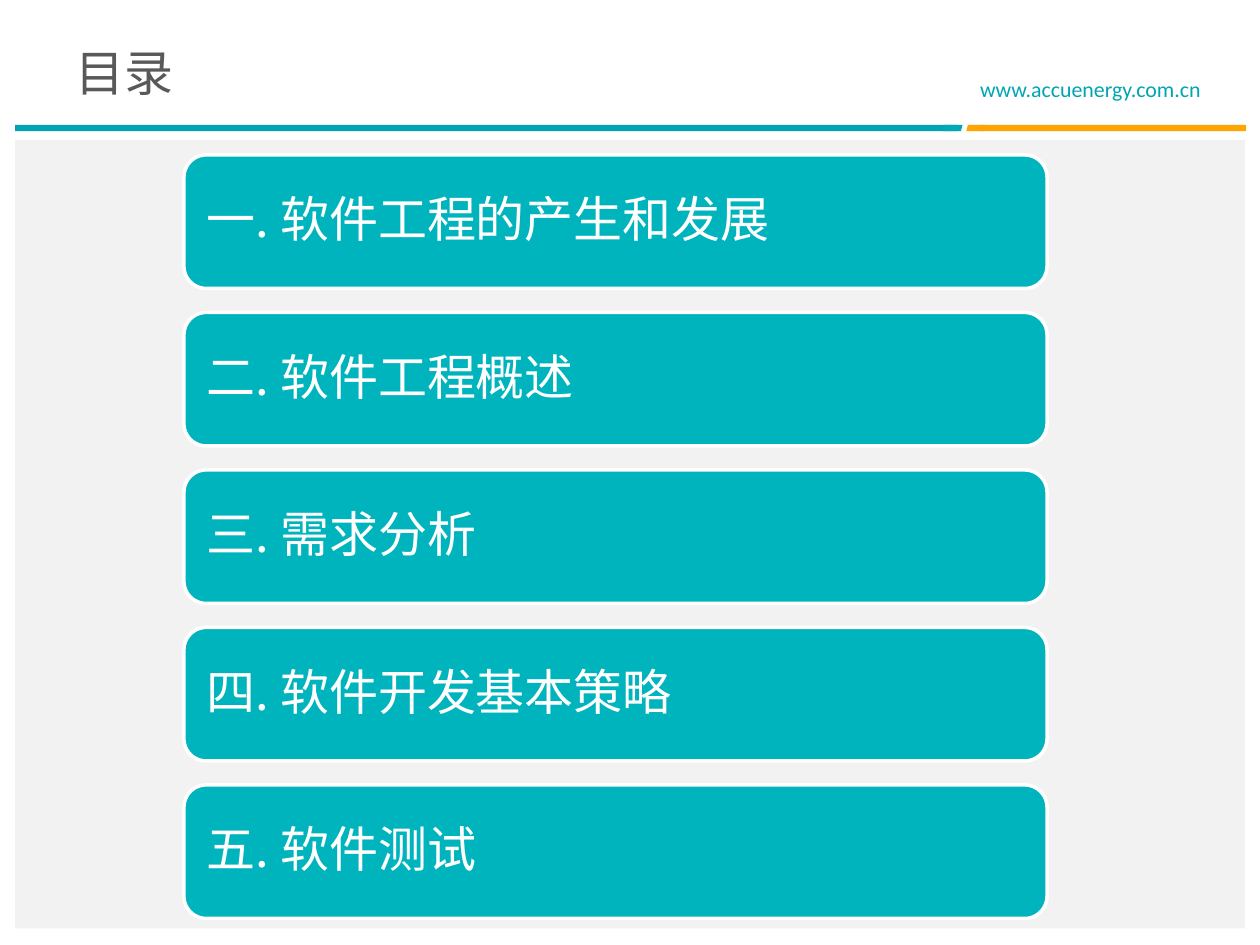
from pptx import Presentation
from pptx.dml.color import RGBColor
from pptx.enum.shapes import MSO_SHAPE
from pptx.enum.text import MSO_ANCHOR, PP_ALIGN
from pptx.util import Inches, Pt

WHITE = RGBColor(0xFF, 0xFF, 0xFF)
PALE = RGBColor(0xF2, 0xF2, 0xF2)
GREY = RGBColor(0x59, 0x59, 0x59)
TEAL = RGBColor(0x00, 0xA5, 0xB2)
SLANT = RGBColor(0x00, 0xA8, 0xB2)
AQUA = RGBColor(0x00, 0xB4, 0xBE)
ORANGE = RGBColor(0xFF, 0xA5, 0x00)

COLS, ROWS = 100, 75
TOPICS = [
    "一. 软件工程的产生和发展",
    "二. 软件工程概述",
    "三. 需求分析",
    "四. 软件开发基本策略",
    "五. 软件测试",
]


class Deck:
    """Places elements on a grid of COLS by ROWS cells."""

    def __init__(self):
        self.prs = Presentation()
        self.prs.slide_width = Inches(10)
        self.prs.slide_height = Inches(7.5)
        self.slide = self.prs.slides.add_slide(self.prs.slide_layouts[6])

    def place(self, col, row, wide, high):
        x = self.prs.slide_width / COLS
        y = self.prs.slide_height / ROWS
        return int(col * x), int(row * y), int(wide * x), int(high * y)

    def block(self, cell, color, kind=MSO_SHAPE.RECTANGLE):
        shape = self.slide.shapes.add_shape(kind, *self.place(*cell))
        shape.shadow.inherit = False
        shape.fill.solid()
        shape.fill.fore_color.rgb = color
        shape.line.fill.background()
        return shape

    def words(self, frame, text, size, name, color):
        frame.word_wrap = True
        para = frame.paragraphs[0]
        para.text = text
        para.font.size = Pt(size)
        para.font.name = name
        para.font.color.rgb = color
        return para

    def label(self, cell, text, size, name, color, anchor=MSO_ANCHOR.TOP):
        box = self.slide.shapes.add_textbox(*self.place(*cell))
        box.text_frame.vertical_anchor = anchor
        self.words(box.text_frame, text, size, name, color)

    def topic(self, cell, text):
        bar = self.block(cell, AQUA, MSO_SHAPE.ROUNDED_RECTANGLE)
        bar.line.color.rgb = WHITE
        bar.line.width = Pt(2)
        frame = bar.text_frame
        frame.vertical_anchor = MSO_ANCHOR.MIDDLE
        # The rounded corners add 0.05 inch to the inset
        frame.margin_left = frame.margin_right = Inches(0.13)
        para = self.words(frame, text, 28, "Noto Sans CJK SC", WHITE)
        para.alignment = PP_ALIGN.LEFT
        para.line_spacing = 0.9


def main():
    deck = Deck()
    deck.block((1.2, 11.1, 97.6, 62.6), PALE)

    rule, thin = 9.9, 0.5
    deck.block((1.2, rule, 74.8, thin), TEAL)
    deck.block((77.6, rule, 21.3, thin), ORANGE)
    for col, color in ((76.7, ORANGE), (74.8, SLANT)):
        deck.block((col, rule, 1.6, thin), color, MSO_SHAPE.PARALLELOGRAM)

    deck.label((76.8, 5.5, 20.5, 3.1), "www.accuenergy.com.cn", 12.5, "Calibri", TEAL)
    deck.label((5, 3, 67.1, 5.4), "目录", 28, "Arial", GREY, MSO_ANCHOR.MIDDLE)

    first, pitch = 12.3, 12.5
    for i, text in enumerate(TOPICS):
        deck.topic((14.6, first + i * pitch, 68.5, 10.6), text)

    deck.prs.save("out.pptx")


if __name__ == "__main__":
    main()
